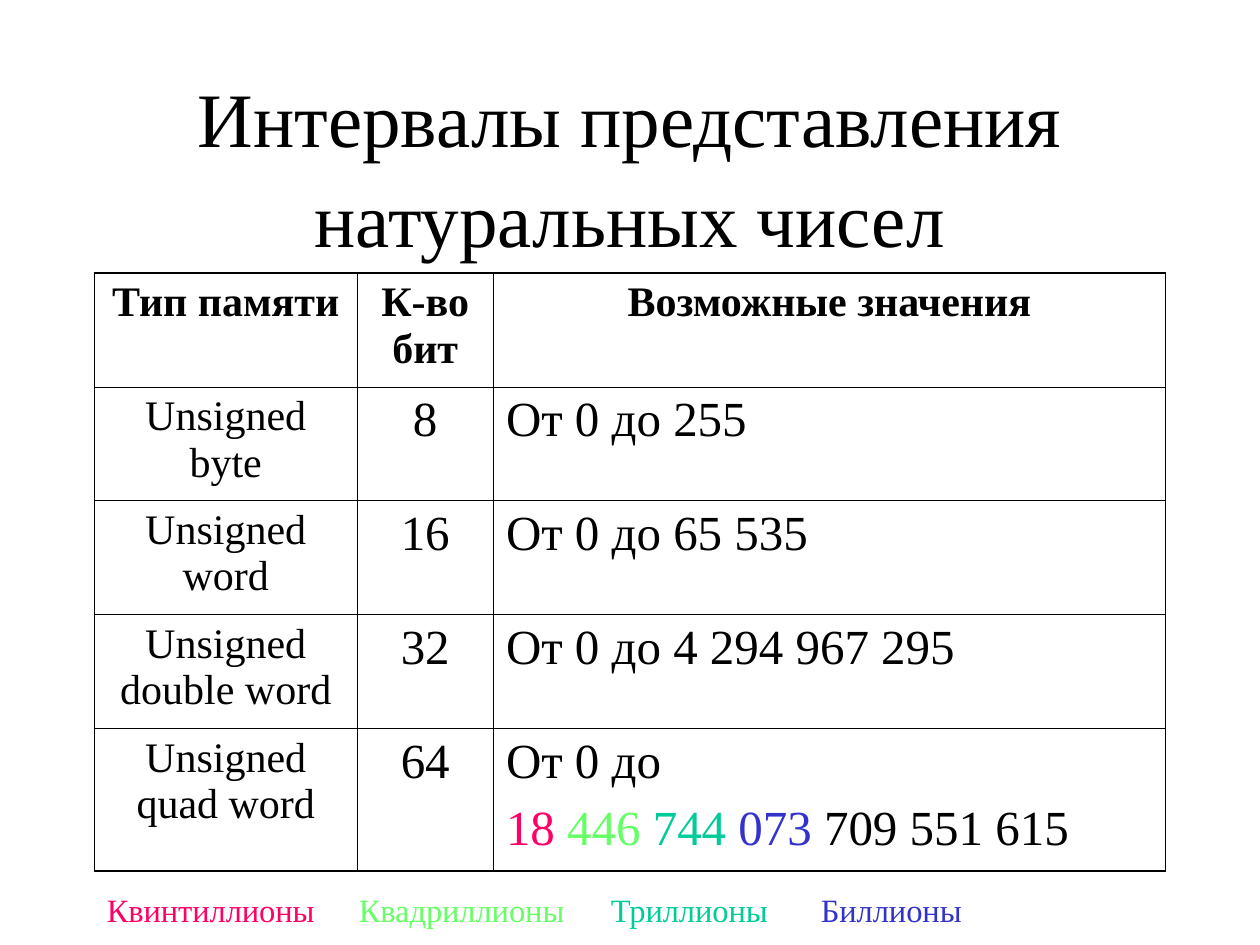
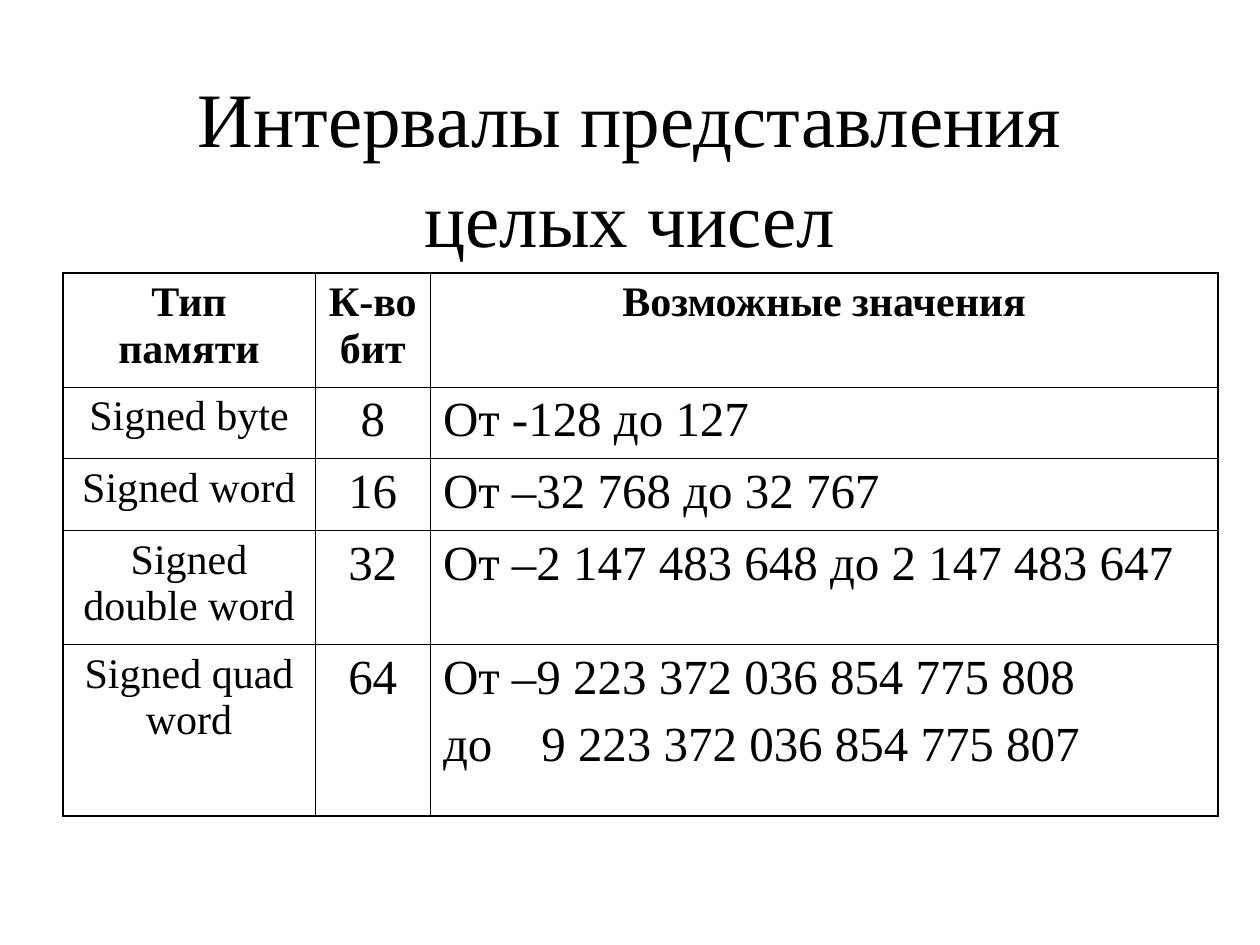
"""Build two slides on the ranges of unsigned and signed integer types."""
from lxml.etree import SubElement
from pptx import Presentation
from pptx.dml.color import RGBColor
from pptx.enum.text import MSO_ANCHOR, MSO_AUTO_SIZE, PP_ALIGN
from pptx.oxml.ns import qn
from pptx.util import Inches, Pt

BLACK = RGBColor(0x00, 0x00, 0x00)
PINK = RGBColor(0xFF, 0x00, 0x66)
LIME = RGBColor(0x66, 0xFF, 0x66)
TEAL = RGBColor(0x00, 0xCC, 0x99)
BLUE = RGBColor(0x33, 0x33, 0xCC)

FONT = "Times New Roman"
COLUMNS, ROWS = 120, 90
TABLE_TOP = 26
OUTER_LINE, INNER_LINE = Pt(1.08), Pt(0.45)
HEADER = ["Тип памяти", "К-во бит", "Возможные значения"]

UNSIGNED = [
    ["Unsigned byte", "8", "От 0 до 255"],
    ["Unsigned word", "16", "От 0 до 65 535"],
    ["Unsigned double word", "32", "От 0 до 4 294 967 295"],
    ["Unsigned quad word", "64", [
        [("От 0 до", BLACK)],
        [("18 ", PINK), ("446 ", LIME), ("744 ", TEAL), ("073", BLUE),
         (" 709 551 615", BLACK)],
    ]],
]
SIGNED = [
    ["Signed byte", "8", "От -128 до 127"],
    ["Signed word", "16", "От –32 768 до 32 767"],
    ["Signed double word", "32", "От –2 147 483 648 до 2 147 483 647"],
    ["Signed quad word", "64", [
        [("От –9 223 372 036 854 775 808", BLACK)],
        [("до\t9 223 372 036 854 775 807", BLACK)],
    ]],
]
MAGNITUDES = [
    ("Квинтиллионы", PINK, 9, 25),
    ("Квадриллионы", LIME, 33, 25),
    ("Триллионы", TEAL, 57, 21),
    ("Биллионы", BLUE, 77, 21),
]


class Deck:
    """Hold the shared style and the current slide."""

    def __init__(self):
        self.presentation = Presentation()
        self.presentation.slide_width = Inches(10)
        self.presentation.slide_height = Inches(7.5)
        self.column = self.presentation.slide_width // COLUMNS
        self.row = self.presentation.slide_height // ROWS
        self.slide = None

    def add_slide(self, title):
        self.slide = self.presentation.slides.add_slide(self.presentation.slide_layouts[6])
        heading = self.text_box(9, 8, 102, 15)
        heading.vertical_anchor = MSO_ANCHOR.MIDDLE
        paragraph = heading.paragraphs[0]
        paragraph.alignment = PP_ALIGN.CENTER
        paragraph.line_spacing = 1.08
        self.run(paragraph, title, 44)

    def text_box(self, left, top, width, height):
        frame = self.slide.shapes.add_textbox(
            int(left * self.column), int(top * self.row),
            int(width * self.column), int(height * self.row)).text_frame
        frame.word_wrap = True
        return frame

    def run(self, paragraph, text, size, color=BLACK, bold=False):
        run = paragraph.add_run()
        run.text = text
        run.font.name = FONT
        run.font.size = Pt(size)
        run.font.bold = bold
        run.font.color.rgb = color
        return run

    def caption(self, text, color, left, width):
        frame = self.text_box(left, 80.6, width, 8.5)
        frame.auto_size = MSO_AUTO_SIZE.SHAPE_TO_FIT_TEXT
        run = self.run(frame.paragraphs[0], text, 32, color)
        run.font._element.set("baseline", "-25000")

    def table(self, left, widths, heights, records):
        table = self.slide.shapes.add_table(
            len(heights), len(widths), left * self.column, TABLE_TOP * self.row,
            int(sum(widths) * self.column), int(sum(heights) * self.row)).table
        table.first_row = table.horz_banding = False
        for column, width in zip(table.columns, widths):
            column.width = int(width * self.column)
        for row, height in zip(table.rows, heights):
            row.height = int(height * self.row)
        last_row, last_column = len(heights) - 1, len(widths) - 1
        for r, record in enumerate([HEADER] + records):
            for c, content in enumerate(record):
                cell = table.cell(r, c)
                self.borders(cell, {"L": c == 0, "R": c == last_column,
                                    "T": r == 0, "B": r == last_row})
                self.cell_text(cell, content, r == 0, c)

    def borders(self, cell, outer_sides):
        properties = cell._tc.get_or_add_tcPr()
        for side, outer in outer_sides.items():
            line = SubElement(properties, qn(f"a:ln{side}"),
                              w=str(OUTER_LINE if outer else INNER_LINE))
            fill = SubElement(line, qn("a:solidFill"))
            SubElement(fill, qn("a:srgbClr"), val=str(BLACK))
        cell.fill.background()

    def cell_text(self, cell, content, header, column):
        size = 24 if header or column == 0 else 28
        lines = [[(content, BLACK)]] if isinstance(content, str) else content
        frame = cell.text_frame
        for index, parts in enumerate(lines):
            paragraph = frame.add_paragraph() if index else frame.paragraphs[0]
            centred = header or column < 2
            paragraph.alignment = PP_ALIGN.CENTER if centred else PP_ALIGN.JUSTIFY
            if index:
                paragraph.space_before = Pt(7)
            if any("\t" in text for text, _ in parts):
                tabs = SubElement(paragraph._p.get_or_add_pPr(), qn("a:tabLst"))
                SubElement(tabs, qn("a:tab"), pos=str(Inches(0.78)), algn="l")
            for text, color in parts:
                self.run(paragraph, text, size, color, header)


def main():
    deck = Deck()
    deck.add_slide("Интервалы представления натуральных чисел")
    deck.table(9, [25, 13, 64], [10.85] * 4 + [13.5], UNSIGNED)
    for magnitude in MAGNITUDES:
        deck.caption(*magnitude)

    deck.add_slide("Интервалы представления целых чисел")
    deck.table(6, [24, 11, 75], [10.85, 6.85, 6.85, 10.85, 16.3], SIGNED)
    deck.presentation.save("out.pptx")


if __name__ == "__main__":
    main()
